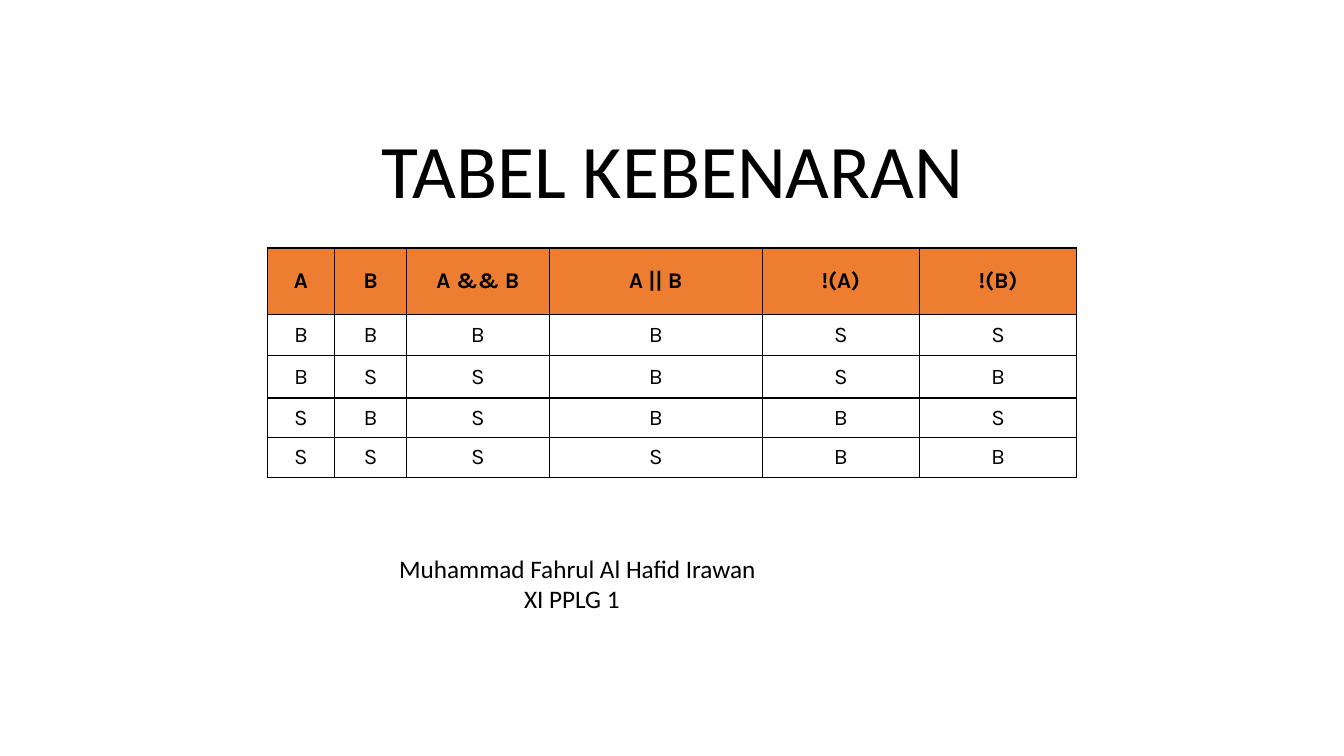
from itertools import product

from lxml import etree
from pptx import Presentation
from pptx import util as u
from pptx.dml.color import RGBColor
from pptx.enum import text
from pptx.oxml import ns

COLORS = {"ink": "000000", "header": "ED7D31", "cell": "FFFFFF"}


def add_run(para, words, size, font, bold=False):
    span = para.add_run()
    span.text = words
    span.font.size = u.Pt(size)
    span.font.name = font
    span.font.bold = bold
    span.font.color.rgb = RGBColor.from_string(COLORS["ink"])


def add_borders(cell):
    props = cell._tc.get_or_add_tcPr()
    for index, side in enumerate(("lnL", "lnR", "lnT", "lnB")):
        line = etree.Element(ns.qn("a:" + side), w=str(u.Pt(1)))
        fill = etree.SubElement(line, ns.qn("a:solidFill"))
        etree.SubElement(fill, ns.qn("a:srgbClr"), val=COLORS["ink"])
        props.insert(index, line)


deck = Presentation()
deck.slide_width = u.Inches(13.33)
deck.slide_height = u.Inches(7.5)
page = deck.slides.add_slide(deck.slide_layouts[0])
subtitle = page.placeholders[1].element
subtitle.getparent().remove(subtitle)

# Title
title = page.shapes.title
title.left, title.top = u.Inches(1.67), u.Inches(1.23)
title.width, title.height = u.Inches(10), u.Inches(0.95)
title.text_frame.vertical_anchor = text.MSO_ANCHOR.BOTTOM
title.text_frame.auto_size = text.MSO_AUTO_SIZE.NONE
para = title.text_frame.paragraphs[0]
para.alignment = text.PP_ALIGN.CENTER
para.line_spacing = 0.9
add_run(para, "TABEL KEBENARAN", 54, "Calibri")

# Truth table: B (benar) is true, S (salah) is false
rows = [["A", "B", "A && B", "A || B", "!(A)", "!(B)"]]
for a, b in product((True, False), repeat=2):
    results = (a, b, a and b, a or b, not a, not b)
    rows.append(["B" if result else "S" for result in results])

widths = [0.67, 0.71, 1.42, 2.11, 1.56, 1.56]
heights = [0.66, 0.41, 0.42, 0.39, 0.4]
table = page.shapes.add_table(
    len(rows), len(widths), u.Inches(2.65), u.Inches(2.46),
    u.Inches(sum(widths)), u.Inches(sum(heights))).table
for column, width in zip(table.columns, widths):
    column.width = u.Inches(width)

for r, labels in enumerate(rows):
    table.rows[r].height = u.Inches(heights[r])
    for c, label in enumerate(labels):
        cell = table.cell(r, c)
        cell.vertical_anchor = text.MSO_ANCHOR.MIDDLE
        cell.fill.solid()
        cell.fill.fore_color.rgb = RGBColor.from_string(
            COLORS["cell" if r else "header"])
        add_borders(cell)
        para = cell.text_frame.paragraphs[0]
        para.alignment = text.PP_ALIGN.CENTER
        add_run(para, label, 16, "Karla", bold=r == 0)

# Author and class, the class indented below the name
box = page.shapes.add_textbox(
    u.Inches(3.86), u.Inches(5.44), u.Inches(3.78), u.Inches(0.71))
frame = box.text_frame
frame.word_wrap = True
add_run(frame.paragraphs[0], "Muhammad Fahrul Al Hafid Irawan", 18, "Calibri")
para = frame.add_paragraph()
para._p.get_or_add_pPr().set("marL", str(u.Inches(1.24)))
add_run(para, "XI PPLG 1", 18, "Calibri")

deck.save("out.pptx")
